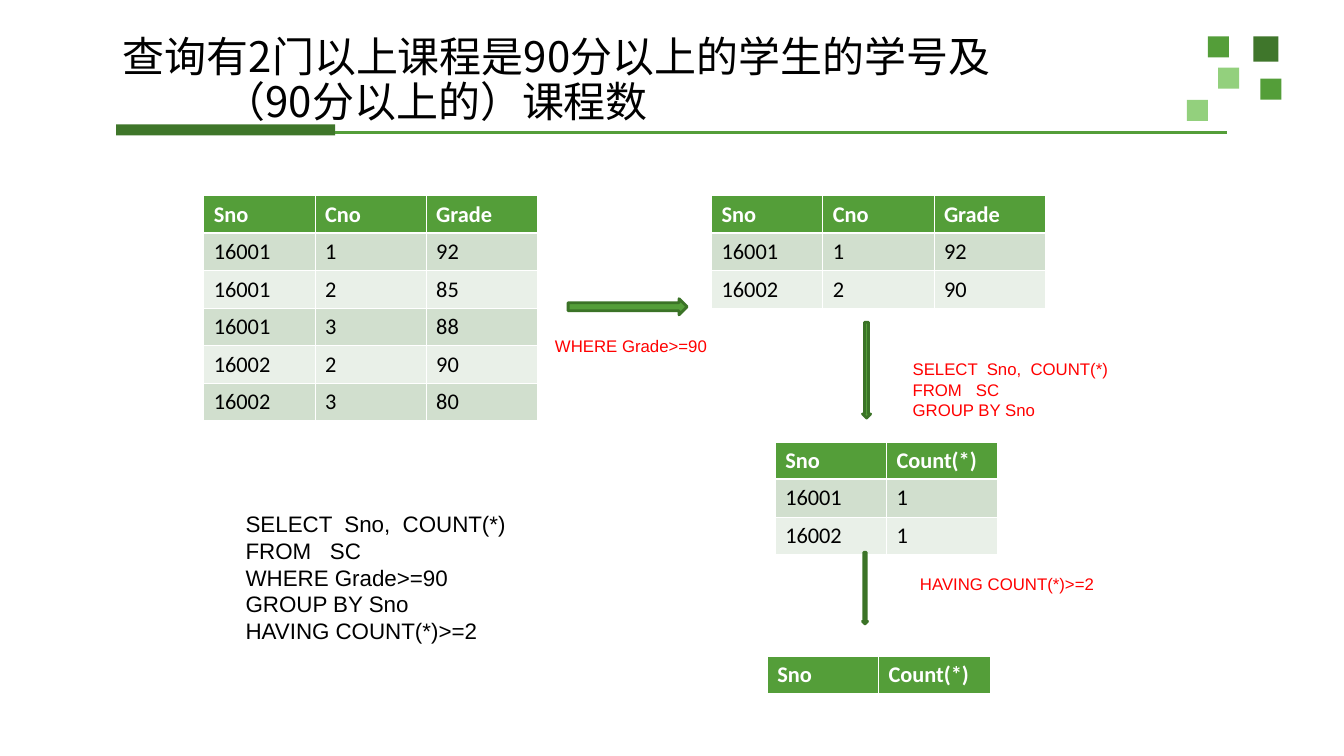
from lxml.etree import SubElement
from pptx import Presentation
from pptx.dml.color import RGBColor
from pptx.enum.shapes import MSO_CONNECTOR as Connector, MSO_SHAPE as Shape
from pptx.enum.text import MSO_ANCHOR as Anchor, MSO_AUTO_SIZE as AutoSize, PP_ALIGN as Align
from pptx.oxml.ns import qn
from pptx.util import Pt

# Content (lengths in points)
COLORS = {"dark": "3F762B", "bar": "3F762A", "green": "549E39", "light": "93D07D",
          "outline": "3B7327", "odd": "D1DFCE", "even": "E9F0E8",
          "white": "FFFFFF", "black": "000000", "red": "FF0000"}
TITLE = "查询有2门以上课程是90分以上的学生的学号及（90分以上的）课程数"
TITLE_FONT = "Noto Sans CJK SC"

# left, top, side, color
SQUARES = [(895.7, 26, 18, "dark"), (863.3, 26, 15, "green"), (900.7, 56.2, 15, "green"),
           (870.5, 48.3, 15, "light"), (848.2, 71.3, 15, "light")]

# left, top, row height, rows
TABLES = [
    (145.6, 139.8, 26.8, [("Sno", "Cno", "Grade"), ("16001", "1", "92"), ("16001", "2", "85"),
                          ("16001", "3", "88"), ("16002", "2", "90"), ("16002", "3", "80")]),
    (508.5, 139.8, 26.4, [("Sno", "Cno", "Grade"), ("16001", "1", "92"), ("16002", "2", "90")]),
    (554, 315.6, 26.4, [("Sno", "Count(*)"), ("16001", "1"), ("16002", "1")]),
    (548.4, 469, 26.4, [("Sno", "Count(*)")]),
]
COLUMN_WIDTH = 79.5

# preset, left, top, width, height
ARROWS = [(Shape.RIGHT_ARROW, 406, 213.4, 85, 11.5),
          (Shape.DOWN_ARROW, 616.4, 230.2, 5.8, 68.4),
          (Shape.DOWN_ARROW, 616.4, 394.5, 3.6, 51.1)]

# left, top, width, height, size, color, wrap, lines
QUERIES = [
    (168.5, 360.7, 244, 103.7, 16, "black", True,
     ["SELECT  Sno,  COUNT(*)", "FROM   SC", "WHERE Grade>=90", "GROUP BY Sno",
      "HAVING COUNT(*)>=2"]),
    (389.5, 236.2, 123, 21.6, 12, "red", False, ["WHERE Grade>=90"]),
    (645.1, 253, 154, 50.4, 12, "red", False,
     ["SELECT  Sno,  COUNT(*)", "FROM   SC", "GROUP BY Sno"]),
    (650.4, 406.3, 139.7, 21.6, 12, "red", False, ["HAVING COUNT(*)>=2"]),
]


def color(name):
    return RGBColor.from_string(COLORS[name])


def format_text(frame, font_name, size, ink, bold=False):
    for para in frame.paragraphs:
        for span in para.runs:
            span.font.name = font_name
            span.font.size = Pt(size)
            span.font.bold = bold
            span.font.color.rgb = color(ink)


def add_filled(preset, left, top, width, height, fill, outline=None):
    shape = page.shapes.add_shape(preset, Pt(left), Pt(top), Pt(width), Pt(height))
    shape.shadow.inherit = False
    shape.fill.solid()
    shape.fill.fore_color.rgb = color(fill)
    if outline:
        shape.line.color.rgb = color(outline)
        shape.line.width = Pt(2)
    else:
        shape.line.fill.background()


def add_border(cell, side, width):
    line = SubElement(cell._tc.get_or_add_tcPr(), qn("a:" + side), w=str(Pt(width)))
    fill = SubElement(line, qn("a:solidFill"))
    SubElement(fill, qn("a:srgbClr"), val=COLORS["white"])


def add_grid(left, top, row_height, rows):
    grid = page.shapes.add_table(len(rows), len(rows[0]), Pt(left), Pt(top),
                                 Pt(COLUMN_WIDTH * len(rows[0])),
                                 Pt(row_height * len(rows))).table
    for column in grid.columns:
        column.width = Pt(COLUMN_WIDTH)
    for r, values in enumerate(rows):
        grid.rows[r].height = Pt(row_height)
        header = r == 0
        for c, value in enumerate(values):
            cell = grid.cell(r, c)
            cell.text_frame.text = value
            format_text(cell.text_frame, "Calibri", 16, "white" if header else "black", header)
            for side in ("lnL", "lnR", "lnT", "lnB"):
                under_header = (side, r) in (("lnB", 0), ("lnT", 1))
                add_border(cell, side, 1.47 if under_header else 0.45)
            cell.fill.solid()
            cell.fill.fore_color.rgb = color("green" if header else "odd" if r % 2 else "even")


deck = Presentation()
deck.slide_width, deck.slide_height = Pt(960.5), Pt(540)
page = deck.slides.add_slide(deck.slide_layouts[5])

# Corner squares and title rule
for left, top, side, fill in SQUARES:
    add_filled(Shape.RECTANGLE, left, top, side, side, fill)
add_filled(Shape.RECTANGLE, 83, 88.8, 156.5, 8, "bar")
rule = page.shapes.add_connector(Connector.STRAIGHT, Pt(239.3), Pt(94.9), Pt(877), Pt(94.9))
rule.line.color.rgb = color("green")
rule.line.width = Pt(2)
SubElement(rule._element.spPr, qn("a:effectLst"))

# Title with a hanging indent
title = page.shapes.title
title.left, title.top, title.width, title.height = Pt(82), Pt(25.2), Pt(647.3), Pt(65.5)
frame = title.text_frame
frame.text = TITLE
frame.word_wrap = True
frame.auto_size = AutoSize.NONE
frame.vertical_anchor = Anchor.MIDDLE
frame.margin_left = frame.margin_right = Pt(5.8)
frame.margin_top = frame.margin_bottom = Pt(2.9)
heading = frame.paragraphs[0]
heading.alignment = Align.LEFT
heading.line_spacing = 0.9
indent = heading._p.get_or_add_pPr()
indent.set("marL", str(Pt(72)))
indent.set("indent", str(Pt(-72)))
format_text(frame, TITLE_FONT, 30, "black")
SubElement(heading.runs[0]._r.get_or_add_rPr(), qn("a:ea"), typeface=TITLE_FONT)

# Tables of the query steps
for table in TABLES:
    add_grid(*table)

# Arrows between the steps
for arrow in ARROWS:
    add_filled(*arrow, "green", "outline")

# Query text
for left, top, width, height, size, ink, wrap, lines in QUERIES:
    box = page.shapes.add_textbox(Pt(left), Pt(top), Pt(width), Pt(height))
    frame = box.text_frame
    frame.text = "\n".join(lines)
    frame.word_wrap = wrap
    frame.auto_size = AutoSize.SHAPE_TO_FIT_TEXT
    format_text(frame, "Arial", size, ink)

deck.save("out.pptx")
